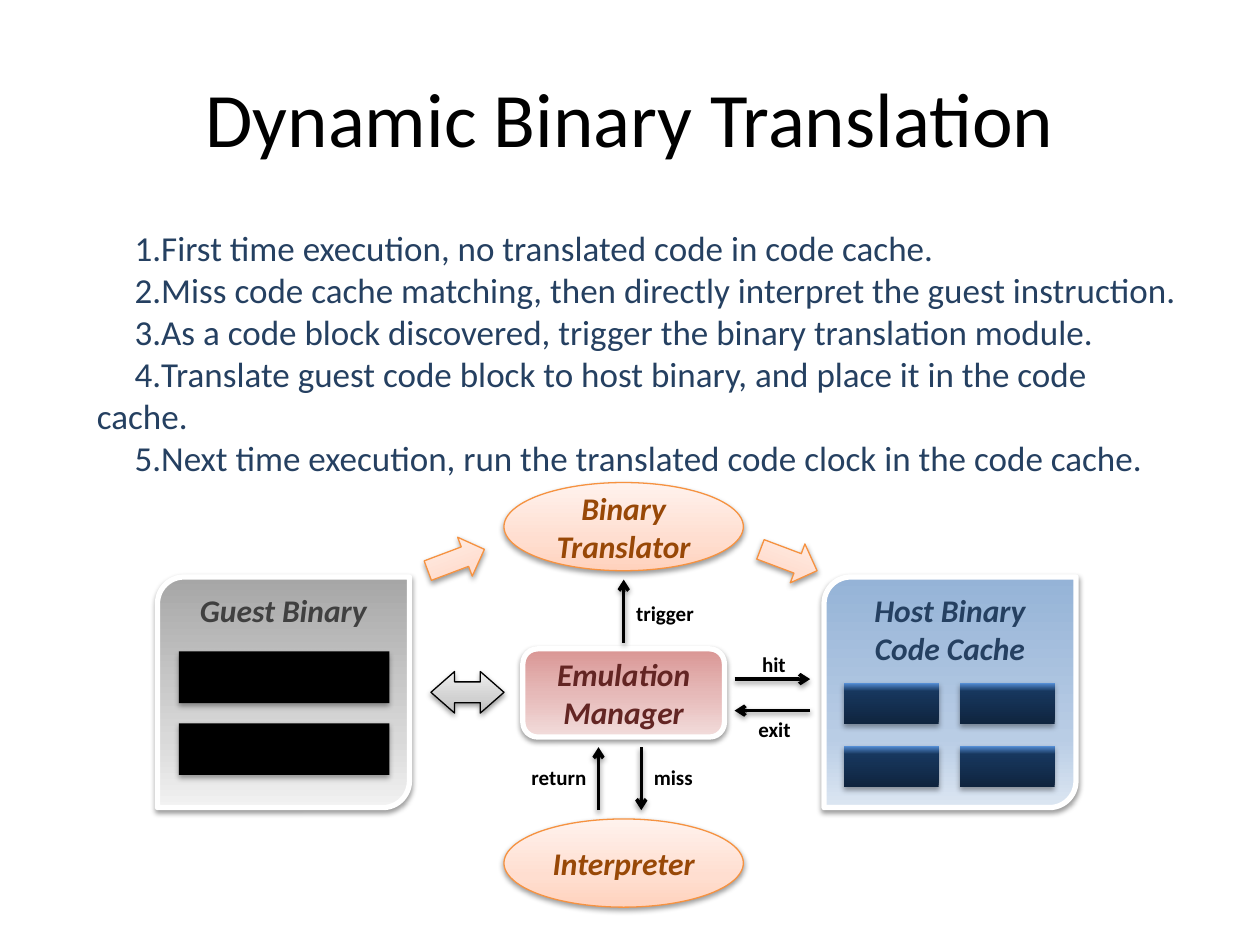
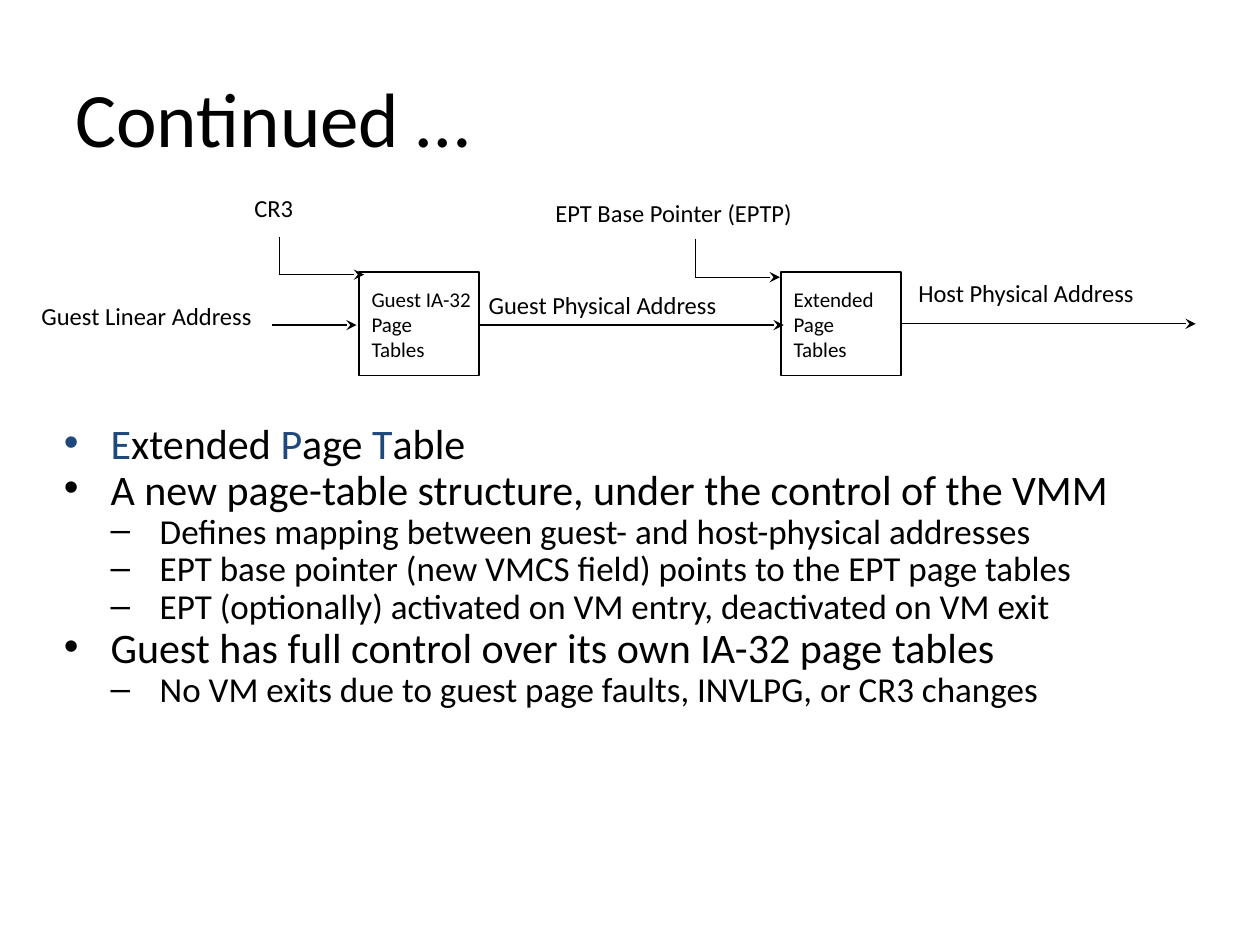
from itertools import product
from lxml.etree import SubElement
from pptx import Presentation
from pptx.dml.color import RGBColor
from pptx.enum.shapes import MSO_CONNECTOR, MSO_SHAPE
from pptx.enum.text import MSO_ANCHOR, PP_ALIGN
from pptx.oxml.ns import qn
from pptx.util import Inches, Pt

W, H = 10, 7.5
FONT, BLACK, WHITE, NAVY, BLUE = "Calibri", "000000", "FFFFFF", "254061", "1F497D"
LEFT, CENTER = PP_ALIGN.LEFT, PP_ALIGN.CENTER
TOP, MIDDLE = MSO_ANCHOR.TOP, MSO_ANCHOR.MIDDLE

GRADIENTS = {
    "guest": ([(0, "A6A6A6"), (70, "D9D9D9"), (100, "F2F2F2")], 90),
    "host": ([(0, "95B3D7"), (70, "B9CDE5"), (100, "DCE6F2")], 90),
    "manager": ([(0, "D99694"), (50, "E6B9B8"), (100, "F2DCDB")], 90),
    "link": ([(0, "BDBDBD"), (35, "D1D1D1"), (100, "EEEEEE")], 270),
    "module": ([(0, "FFD2BD"), (35, "FFDED0"), (100, "FFF2ED")], 270),
    "block": ([(0, "0F243E"), (80, "17375E"), (100, "558ED5")], 270),
}
WHITE_EDGE, ORANGE_EDGE, BLACK_EDGE = (WHITE, 3), ("F69240", 0.75), (BLACK, 0.75)

STEPS = [
    "First time execution, no translated code in code cache.",
    "Miss code cache matching, then directly interpret the guest instruction.",
    "As a code block discovered, trigger the binary translation module.",
    "Translate guest code block to host binary, and place it in the code cache.",
    "Next time execution, run the translated code clock in the code cache.",
]
SIDE_Y, SIDE_W, SIDE_H = 4.58, 2, 1.83
MID_X, MODULE_W, MODULE_H, MANAGER_W = 4.95, 1.9, 0.7, 1.6
GUEST_X, HOST_X = 1.25, 6.54
MODULE_X = MID_X - MODULE_W / 2

PARTS = [
    (MSO_SHAPE.ROUND_2_DIAG_RECTANGLE, (GUEST_X, SIDE_Y, SIDE_W, SIDE_H), "guest",
     WHITE_EDGE, "Guest Binary", "404040", TOP, (0.115, 0), 0),
    (MSO_SHAPE.ROUNDED_RECTANGLE, (MID_X - MANAGER_W / 2, 5.15, MANAGER_W, MODULE_H), "manager",
     WHITE_EDGE, "Emulation Manager", "632523", MIDDLE, (), 0),
    (MSO_SHAPE.LEFT_RIGHT_ARROW, (3.42, 5.33, 0.58, 0.33), "link",
     BLACK_EDGE, "", BLACK, MIDDLE, (0.5, 0.57), 0),
    (MSO_SHAPE.OVAL, (MODULE_X, 3.83, MODULE_W, MODULE_H), "module",
     ORANGE_EDGE, "Binary Translator", "984807", MIDDLE, (), 0),
    (MSO_SHAPE.OVAL, (MODULE_X, 6.5, MODULE_W, MODULE_H), "module",
     ORANGE_EDGE, "Interpreter", "984807", MIDDLE, (), 0),
    (MSO_SHAPE.ROUND_2_DIAG_RECTANGLE, (HOST_X, SIDE_Y, SIDE_W, SIDE_H), "host",
     WHITE_EDGE, "Host Binary Code Cache", NAVY, TOP, (0.115, 0), 0),
    (MSO_SHAPE.RIGHT_ARROW, (3.38, 4.28, 0.48, 0.33), "module",
     ORANGE_EDGE, "", BLACK, MIDDLE, (), -20.6),
    (MSO_SHAPE.RIGHT_ARROW, (6.02, 4.28, 0.48, 0.33), "module",
     ORANGE_EDGE, "", BLACK, MIDDLE, (), 20.6),
]
FLOWS = [
    ("miss", (5.09, 5.93), (5.09, 6.43), (5.09, 6.02, 0.51)),
    ("return", (4.75, 6.43), (4.75, 5.93), (4.12, 6.02, 0.64)),
    ("trigger", (4.95, 5.1), (4.95, 4.6), (4.95, 4.72, 0.67)),
    ("hit", (5.83, 5.39), (6.43, 5.39), (5.95, 5.12, 0.39)),
    ("exit", (6.43, 5.64), (5.83, 5.64), (5.92, 5.64, 0.46)),
]

PAGE_TABLES = [(2.85, ["Guest IA-32", "Page", "Tables"]), (6.2, ["Extended", "Page", "Tables"])]
ADDRESSES = [
    ("Guest Linear Address", 0.23, 2.34, 2.08),
    ("Guest Physical Address", 3.78, 2.25, 2.26),
    ("Host Physical Address", 7.19, 2.16, 2.14),
    ("EPT Base Pointer (EPTP)", 4.31, 1.52, 2.44),
    ("CR3", 1.92, 1.48, 0.59),
]
ADDRESS_ARROWS = [(2.16, 2.83, 2.58), (3.81, 6.22, 2.58), (7.14, 9.49, 2.57)]
POINTERS = [(5.52, 2.2), (2.22, 2.18)]
BULLETS = [
    (0, [("E", BLUE), ("xtended ", BLACK), ("P", BLUE), ("age ", BLACK), ("T", BLUE), ("able", BLACK)]),
    (0, "A new page-table structure, under the control of the VMM"),
    (1, "Defines mapping between guest- and host-physical addresses"),
    (1, "EPT base pointer (new VMCS field) points to the EPT page tables"),
    (1, "EPT (optionally) activated on VM entry, deactivated on VM exit"),
    (0, "Guest has full control over its own IA-32 page tables"),
    (1, "No VM exits due to guest page faults, INVLPG, or CR3 changes"),
]
LEVELS = [("•", 24, 0.37, -0.37), ("–", 20, 0.76, -0.39)]


def rgb(value):
    return RGBColor.from_string(value)


def add_runs(p, runs, size, color=BLACK, **style):
    for text, shade in [(runs, color)] if isinstance(runs, str) else runs:
        r = p.add_run()
        r.text = text
        for name, value in dict(name=FONT, size=Pt(size), **style).items():
            setattr(r.font, name, value)
        r.font.color.rgb = rgb(shade)


def write(tf, lines, size, color=BLACK, align=LEFT, anchor=TOP, wrap=True, **style):
    tf.word_wrap, tf.vertical_anchor = wrap, anchor
    for i, line in enumerate(lines):
        p = tf.add_paragraph() if i else tf.paragraphs[0]
        p.alignment = align
        add_runs(p, line, size, color, **style)


def add_text(s, box, lines, size, **style):
    tf = s.shapes.add_textbox(*map(Inches, box)).text_frame
    write(tf, lines, size, **style)
    return tf


def add_title(s, text, align):
    add_text(s, (W * 0.05, H * 0.04, W * 0.9, 1.25), [text], 44, align=align, anchor=MIDDLE)


def add_bullet(p, tag, attrs, margin, indent):
    pPr = p._p.get_or_add_pPr()
    pPr.set("marL", str(Inches(margin)))
    pPr.set("indent", str(Inches(indent)))
    SubElement(pPr, qn("a:buFont"), typeface="Arial" if tag == "a:buChar" else "+mj-lt")
    SubElement(pPr, qn(tag), **attrs)


def add_shadow(effects, alpha=38, dist=1.6):
    shadow = SubElement(effects, qn("a:outerShdw"), blurRad=str(Pt(3.1)), dist=str(Pt(dist)),
                        dir="5400000", rotWithShape="0")
    color = SubElement(shadow, qn("a:srgbClr"), val=BLACK)
    SubElement(color, qn("a:alpha"), val=str(alpha * 1000))


def paint(shape, fill):
    if fill not in GRADIENTS:
        shape.fill.solid()
        shape.fill.fore_color.rgb = rgb(fill)
        return
    stops, angle = GRADIENTS[fill]
    shape.fill.gradient()
    shape.fill.gradient_angle = 360 - angle
    gsLst = shape.element.spPr.find(".//" + qn("a:gsLst"))
    for gs in list(gsLst):
        gsLst.remove(gs)
    for pos, color in stops:
        gs = SubElement(gsLst, qn("a:gs"), pos=str(pos * 1000))
        SubElement(gs, qn("a:srgbClr"), val=color)


def add_shape(s, kind, box, fill, edge=None, shadow=None):
    shape = s.shapes.add_shape(kind, *map(Inches, box))
    paint(shape, fill)
    if edge:
        shape.line.color.rgb, shape.line.width = rgb(edge[0]), Pt(edge[1])
    else:
        shape.line.fill.background()
    shape.shadow.inherit = False
    if shadow:
        add_shadow(shape.element.spPr.find(qn("a:effectLst")), *shadow)
    return shape


def add_line(s, start, end, width, head=None, shadow=False):
    line = s.shapes.add_connector(MSO_CONNECTOR.STRAIGHT, *map(Inches, start + end))
    line.line.color.rgb, line.line.width = rgb(BLACK), Pt(width)
    spPr = line.element.spPr
    if head:
        SubElement(spPr.find(qn("a:ln")), qn("a:tailEnd"), type=head)
    effects = SubElement(spPr, qn("a:effectLst"))
    if shadow:
        add_shadow(effects)


def build_translation(s):
    add_title(s, "Dynamic Binary Translation", CENTER)
    for kind, box, fill, edge, text, color, anchor, adjust, turn in PARTS:
        shape = add_shape(s, kind, box, fill, edge, (38, 1.6))
        shape.rotation = turn
        for i, value in enumerate(adjust):
            shape.adjustments[i] = value
        if text:
            write(shape.text_frame, [text], 18, color, CENTER, anchor, bold=True, italic=True)
    for col, row in product(range(2), range(2)):
        box = (HOST_X + 0.16 + col * 0.92, 5.42 + row * 0.5, 0.75, 0.33)
        add_shape(s, MSO_SHAPE.RECTANGLE, box, "block", shadow=(35, 1.8))
    for row in range(2):
        box = (GUEST_X + 0.17, 5.17 + row * 0.57, 1.67, 0.41)
        add_shape(s, MSO_SHAPE.RECTANGLE, box, BLACK, shadow=(35, 1.8))
    for label, start, end, place in FLOWS:
        add_line(s, start, end, 2, "arrow", True)
        add_text(s, (*place, 0.3), [label], 12, wrap=False, bold=True)
    tf = add_text(s, (0.67, 1.75, 8.82, 1.78), STEPS, 20, color=NAVY)
    for p in tf.paragraphs:
        add_bullet(p, "a:buAutoNum", {"type": "arabicPeriod"}, 0, 0.3)


def build_page_tables(s):
    add_title(s, "Continued …", LEFT)
    tf = add_text(s, (0.41, 3.36, 9.17, 2.64), [], 24)
    for i, (level, runs) in enumerate(BULLETS):
        char, size, margin, indent = LEVELS[level]
        p = tf.add_paragraph() if i else tf.paragraphs[0]
        p.level, p.line_spacing, p.space_before = level, 0.75, Pt(size * 0.18)
        add_bullet(p, "a:buChar", {"char": char}, margin, indent)
        add_runs(p, runs, size)
    for x, lines in PAGE_TABLES:
        box = add_shape(s, MSO_SHAPE.RECTANGLE, (x, 2.16, 0.95, 0.82), WHITE, (BLACK, 1))
        box.text_frame.margin_right = 0
        write(box.text_frame, lines, 12, anchor=MIDDLE)
    for text, x, y, width in ADDRESSES:
        add_text(s, (x, y, width, 0.33), [text], 14, wrap=False)
    for x1, x2, y in ADDRESS_ARROWS:
        add_line(s, (x1, y), (x2, y), 0.75, "stealth")
    for x, y in POINTERS:
        add_line(s, (x, y), (x + 0.67, y), 0.75, "stealth")
        add_line(s, (x, y), (x, y - 0.3), 0.75)


def main():
    """Build the two slides on binary translation and extended page tables."""
    prs = Presentation()
    prs.slide_width, prs.slide_height = Inches(W), Inches(H)
    for build in (build_translation, build_page_tables):
        build(prs.slides.add_slide(prs.slide_layouts[6]))
    prs.save("out.pptx")


if __name__ == "__main__":
    main()
